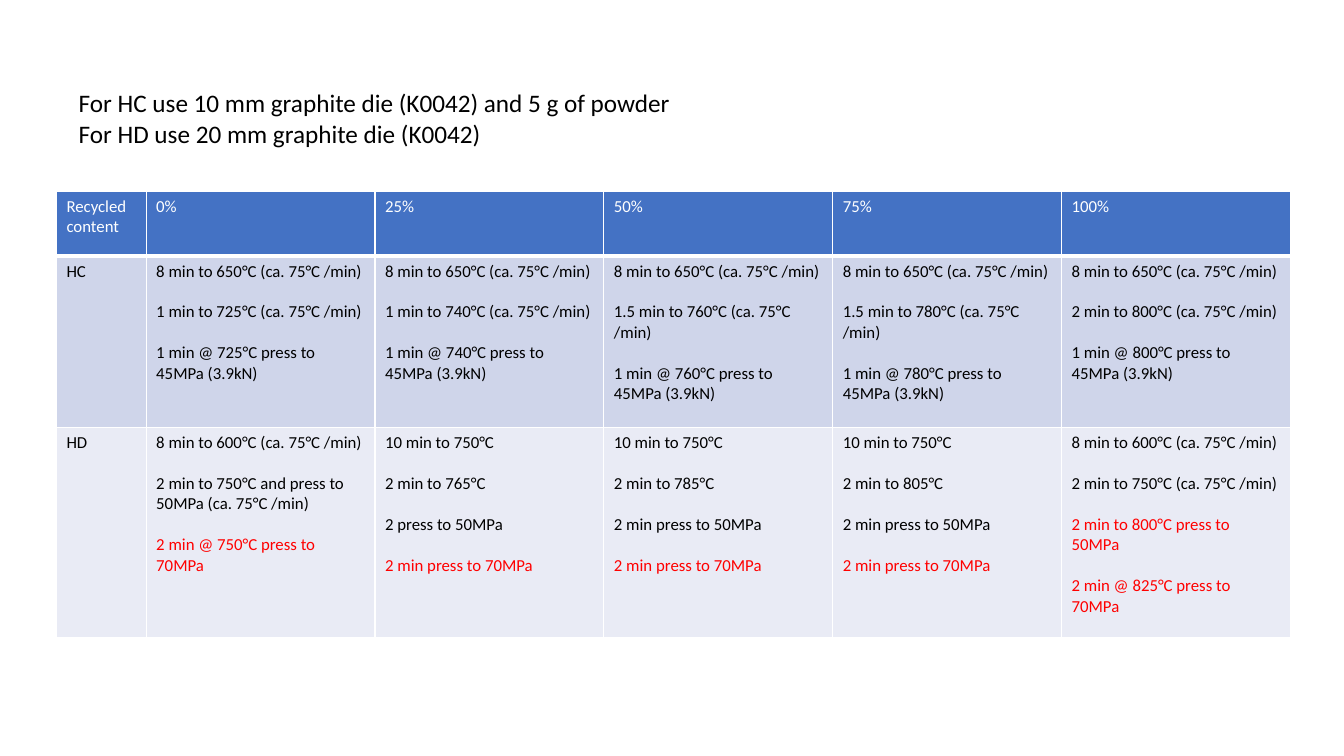
"""Build a slide with press schedules for each recycled content."""
from lxml.etree import SubElement
from pptx import Presentation
from pptx.dml.color import RGBColor
from pptx.enum.text import MSO_ANCHOR, MSO_AUTO_SIZE, PP_ALIGN
from pptx.oxml.ns import qn
from pptx.util import Inches, Pt

NOTES = [
    "For HC use 10 mm graphite die (K0042) and 5 g of powder",
    "For HD use 20 mm graphite die (K0042)",
]
HEADER = ["Recycled content", "0%", "25%", "50%", "75%", "100%"]
HC_STEPS = [
    ["8 min to 650°C (ca. 75°C /min)", "1 min to 725°C (ca. 75°C /min)",
     "1 min @ 725°C press to 45MPa (3.9kN)"],
    ["8 min to 650°C (ca. 75°C /min)", "1 min to 740°C (ca. 75°C /min)",
     "1 min @ 740°C press to 45MPa (3.9kN)"],
    ["8 min to 650°C (ca. 75°C /min)", "1.5 min to 760°C (ca. 75°C /min)",
     "1 min @ 760°C press to 45MPa (3.9kN)"],
    ["8 min to 650°C (ca. 75°C /min)", "1.5 min to 780°C (ca. 75°C /min)",
     "1 min @ 780°C press to 45MPa (3.9kN)"],
    ["8 min to 650°C (ca. 75°C /min)", "2 min to 800°C (ca. 75°C /min)",
     "1 min @ 800°C press to 45MPa (3.9kN)"],
]
HD_STEPS = [
    ["8 min to 600°C (ca. 75°C /min)",
     "2 min to 750°C and press to 50MPa (ca. 75°C /min)",
     "2 min @ 750°C press to 70MPa"],
    ["10 min to 750°C", "2 min to 765°C", "2 press to 50MPa", "2 min press to 70MPa"],
    ["10 min to 750°C", "2 min to 785°C", "2 min press to 50MPa", "2 min press to 70MPa"],
    ["10 min to 750°C", "2 min to 805°C", "2 min press to 50MPa", "2 min press to 70MPa"],
    ["8 min to 600°C (ca. 75°C /min)", "2 min to 750°C (ca. 75°C /min)",
     "2 min to 800°C press to 50MPa", "2 min @ 825°C press to 70MPa"],
]
RED_STEPS = {
    "2 min @ 750°C press to 70MPa", "2 min press to 70MPa",
    "2 min to 800°C press to 50MPa", "2 min @ 825°C press to 70MPa",
}
ROWS = [
    [[label] for label in HEADER],
    [["HC"], *HC_STEPS],
    [["HD"], *HD_STEPS],
]
ROW_FILLS = ["4472C4", "CFD5EA", "E9EBF5"]
ROW_HEIGHTS = [0.64, 1.7, 2.09]
COLUMN_WIDTHS = [0.89] + [2.27] * 5
BLACK, WHITE, RED = "000000", "FFFFFF", "FF0000"


def color(value):
    return RGBColor.from_string(value)


def write(frame, lines, size=12, ink=BLACK, gap=0):
    frame.word_wrap = True
    for index, line in enumerate(lines):
        para = frame.paragraphs[0] if index == 0 else frame.add_paragraph()
        para.alignment = PP_ALIGN.LEFT
        para.space_before = Pt(gap if index else 0)
        span = para.add_run()
        span.text = line
        span.font.name = "Calibri"
        span.font.size = Pt(size)
        span.font.bold = False
        span.font.color.rgb = color(RED if line in RED_STEPS else ink)


def add_borders(cell, bottom):
    properties = cell._tc.get_or_add_tcPr()
    for side, width in (("L", 1), ("R", 1), ("T", 1), ("B", bottom)):
        line = SubElement(properties, qn(f"a:ln{side}"), w=str(Pt(width)))
        fill = SubElement(line, qn("a:solidFill"))
        SubElement(fill, qn("a:srgbClr"), val=WHITE)


def add_schedule(page):
    table = page.shapes.add_table(
        len(ROWS), len(HEADER), Inches(0.56), Inches(1.9),
        Inches(sum(COLUMN_WIDTHS)), Inches(sum(ROW_HEIGHTS))).table
    for column, width in zip(table.columns, COLUMN_WIDTHS):
        column.width = Inches(width)
    for row_index, row in enumerate(ROWS):
        table.rows[row_index].height = Inches(ROW_HEIGHTS[row_index])
        is_header = row_index == 0
        for column_index, steps in enumerate(row):
            cell = table.cell(row_index, column_index)
            add_borders(cell, bottom=3 if is_header else 1)
            cell.fill.solid()
            cell.fill.fore_color.rgb = color(ROW_FILLS[row_index])
            write(cell.text_frame, steps, ink=WHITE if is_header else BLACK, gap=14.65)


def main():
    deck = Presentation()
    deck.slide_width, deck.slide_height = Inches(13.33), Inches(7.5)
    page = deck.slides.add_slide(deck.slide_layouts[5])
    title = page.shapes.title
    title.left, title.top = Inches(0.68), Inches(0.82)
    title.width, title.height = Inches(6.66), Inches(0.71)
    title.text_frame.auto_size = MSO_AUTO_SIZE.NONE
    title.text_frame.vertical_anchor = MSO_ANCHOR.TOP
    write(title.text_frame, NOTES, size=18)
    add_schedule(page)
    deck.save("out.pptx")


if __name__ == "__main__":
    main()
